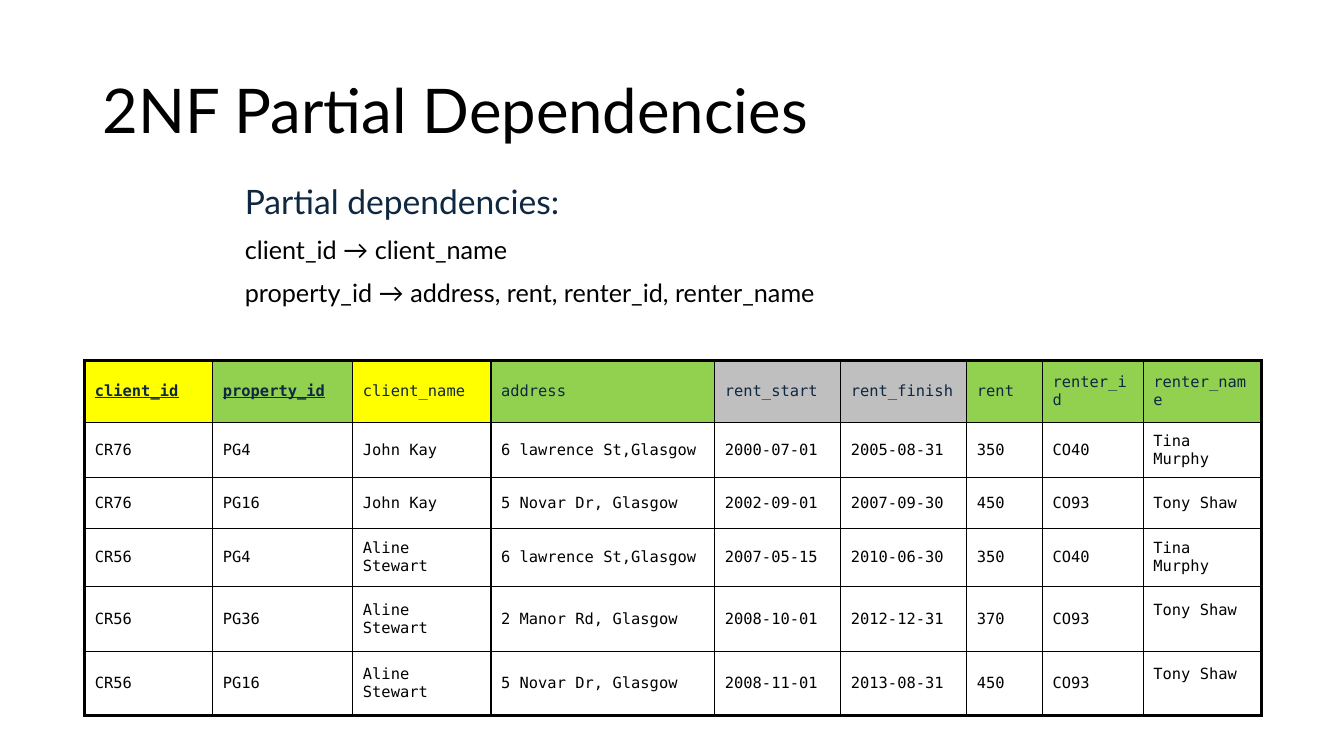
from lxml.etree import SubElement
from pptx import Presentation
from pptx.dml.color import RGBColor
from pptx.enum.text import MSO_ANCHOR as Anchor
from pptx.oxml.ns import qn
from pptx.util import Inches, Pt

COLORS = {"black": "000000", "navy": "0E2841", "yellow": "FFFF00",
          "green": "92D050", "gray": "BFBFBF"}
BODY, MONO = "Lato", "DejaVu Sans Mono"
COLUMNS = [("client_id", 1.27, "yellow"), ("property_id", 1.39, "green"),
           ("client_name", 1.37, "yellow"), ("address", 2.22, "green"),
           ("rent_start", 1.25, "gray"), ("rent_finish", 1.25, "gray"),
           ("rent", 0.75, "green"), ("renter_id", 1, "green"),
           ("renter_name", 1.17, "green")]
KEYS = ("client_id", "property_id")
ROW_HEIGHTS = [0.61, 0.55, 0.5, 0.58, 0.64, 0.64]
RENTALS = [
    ["CR76", "PG4", "John Kay", "6 lawrence St,Glasgow", "2000-07-01",
     "2005-08-31", "350", "CO40", "Tina Murphy"],
    ["CR76", "PG16", "John Kay", "5 Novar Dr, Glasgow", "2002-09-01",
     "2007-09-30", "450", "CO93", "Tony Shaw"],
    ["CR56", "PG4", "Aline Stewart", "6 lawrence St,Glasgow", "2007-05-15",
     "2010-06-30", "350", "CO40", "Tina Murphy"],
    ["CR56", "PG36", "Aline Stewart", "2 Manor Rd, Glasgow", "2008-10-01",
     "2012-12-31", "370", "CO93", "Tony Shaw"],
    ["CR56", "PG16", "Aline Stewart", "5 Novar Dr, Glasgow", "2008-11-01",
     "2013-08-31", "450", "CO93", "Tony Shaw"],
]


def write(p, text, size=18, font=BODY, color="black", key=False, before=0, spacing=None):
    """Write formatted text into a paragraph."""
    p.space_before = Pt(before)
    p.line_spacing = spacing
    r = p.add_run()
    r.text = text
    r.font.size, r.font.name = Pt(size), font
    r.font.bold = r.font.underline = key
    r.font.color.rgb = RGBColor.from_string(COLORS[color])


def add_box(s, x, y, w, h, anchor=Anchor.TOP):
    """Add a wrapping text box and return its text frame."""
    tf = s.shapes.add_textbox(Inches(x), Inches(y), Inches(w), Inches(h)).text_frame
    tf.word_wrap, tf.vertical_anchor = True, anchor
    return tf


def add_border(cell, side, width):
    """Draw one black border of a table cell."""
    ln = SubElement(cell._tc.get_or_add_tcPr(), qn(f"a:ln{side}"), w=str(Pt(width)))
    SubElement(SubElement(ln, qn("a:solidFill")), qn("a:srgbClr"), val=COLORS["black"])


def style_cell(cell, outer, fill=None, bottom=0):
    """Set margins, borders and fill; outer maps each side to whether it is an edge."""
    cell.vertical_anchor = Anchor.MIDDLE
    cell.margin_left = cell.margin_right = Inches(0.1)
    cell.margin_top, cell.margin_bottom = 0, Inches(bottom)
    for side, is_edge in outer.items():
        add_border(cell, side, 2.25 if is_edge else 1)
    if fill:
        cell.fill.solid()
        cell.fill.fore_color.rgb = RGBColor.from_string(COLORS[fill])
    else:
        cell.fill.background()


def add_rentals(s, x, y):
    """Add the rentals table with a coloured header row."""
    names, widths, fills = zip(*COLUMNS)
    rows = [names, *RENTALS]
    last_row, last_col = len(rows) - 1, len(names) - 1
    table = s.shapes.add_table(len(rows), len(names), Inches(x), Inches(y),
                               Inches(sum(widths)), Inches(sum(ROW_HEIGHTS))).table
    table.horz_banding = table.first_row = False
    for col, width in zip(table.columns, widths):
        col.width = Inches(width)
    for row, height in zip(table.rows, ROW_HEIGHTS):
        row.height = Inches(height)
    for i, row in enumerate(rows):
        for j, text in enumerate(row):
            cell, header = table.cell(i, j), i == 0
            outer = {"L": j == 0, "R": j == last_col, "T": header, "B": i == last_row}
            raised = j == last_col and i >= last_row - 1
            style_cell(cell, outer, fills[j] if header else None, 0.18 if raised else 0)
            write(cell.text_frame.paragraphs[0], text, size=11, font=MONO,
                  color="navy" if header else "black", key=text in KEYS)


def main():
    """Build the slide and save it."""
    prs = Presentation()
    prs.slide_width, prs.slide_height = Inches(13.33), Inches(7.5)
    s = prs.slides.add_slide(prs.slide_layouts[6])
    title = add_box(s, 0.92, 0.4, 11.5, 1.45, Anchor.MIDDLE)
    write(title.paragraphs[0], "2NF Partial Dependencies", size=44, spacing=0.9)
    tf = add_box(s, 2.33, 1.75, 6.26, 1.41)
    write(tf.paragraphs[0], "Partial dependencies:", size=24, color="navy")
    for text in ("client_id → client_name",
                 "property_id → address, rent, renter_id, renter_name"):
        write(tf.add_paragraph(), text, before=9)
    add_rentals(s, 0.84, 3.58)
    prs.save("out.pptx")


if __name__ == "__main__":
    main()
